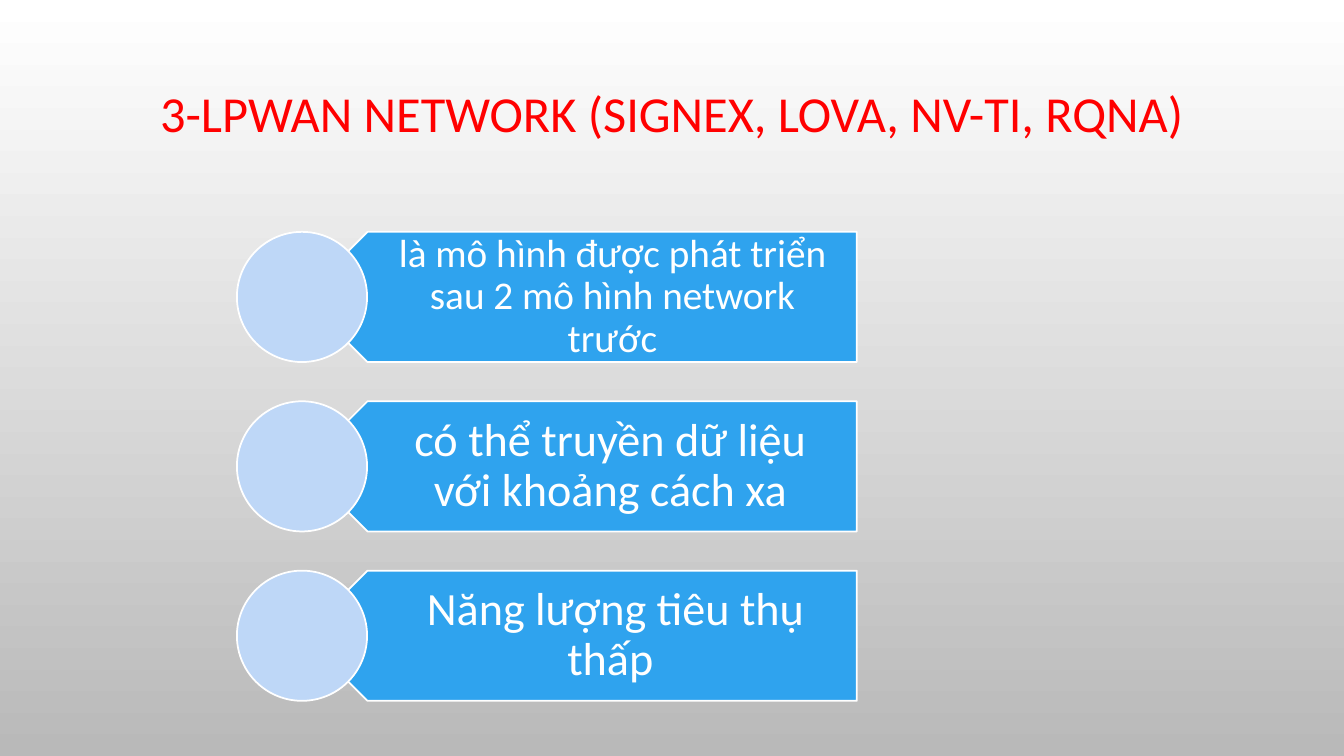
from pptx import Presentation
from pptx.dml.color import RGBColor
from pptx.enum.shapes import MSO_SHAPE
from pptx.enum.text import MSO_ANCHOR, MSO_AUTO_SIZE, PP_ALIGN
from pptx.util import Pt

PLATE = MSO_SHAPE.PENTAGON
OVAL = MSO_SHAPE.OVAL
MIDDLE = MSO_ANCHOR.MIDDLE
CENTER = PP_ALIGN.CENTER
FIXED = MSO_AUTO_SIZE.NONE

COLORS = {
    "top": "FFFFFF",
    "base": "B9B9B9",
    "title": "FF0000",
    "plate": "2FA3EE",
    "disc": "BED7F7",
    "white": "FFFFFF",
}
RGB = {name: RGBColor.from_string(code) for name, code in COLORS.items()}


def write(frame, text, size, color):
    frame.word_wrap = True
    frame.auto_size = FIXED
    frame.vertical_anchor = MIDDLE
    para = frame.paragraphs[0]
    para.alignment = CENTER
    para.line_spacing = 0.9
    run = para.add_run()
    run.text = text
    run.font.name = "Calibri"
    run.font.size = Pt(size)
    run.font.color.rgb = RGB[color]


def draw(shapes, kind, left, top, width, height, color):
    shape = shapes.add_shape(kind, Pt(left), Pt(top), Pt(width), Pt(height))
    shape.shadow.inherit = False
    shape.fill.solid()
    shape.fill.fore_color.rgb = RGB[color]
    shape.line.color.rgb = RGB["white"]
    shape.line.width = Pt(1.25)
    return shape


deck = Presentation()
deck.slide_width, deck.slide_height = Pt(960), Pt(540)
slide = deck.slides.add_slide(deck.slide_layouts[5])

back = slide.background.fill
back.gradient()
back.gradient_angle = 270
for stop, name in zip(back.gradient_stops, ("top", "base")):
    stop.color.rgb = RGB[name]

title = slide.shapes.title
title.left, title.top = Pt(72), Pt(20)
title.width, title.height = Pt(816), Pt(126)
write(title.text_frame, "3-LPWAN NETWORK (SIGNEX, LOVA, NV-TI, RQNA)", 36, "title")

ITEMS = [
    ("là mô hình được phát triển sau 2 mô hình network trước", 28, 16, 9),
    ("có thể truyền dữ liệu với khoảng cách xa", 33, 19, 10),
    (" Năng lượng tiêu thụ thấp", 33, 19, 10),
]
TOP, STEP, SIZE = 165.6, 121, 93

group = slide.shapes.add_group_shape()
for row, (text, size, right, pad) in enumerate(ITEMS):
    top = TOP + row * STEP
    plate = draw(group.shapes, PLATE, 216, top, 396, SIZE, "plate")
    plate.rotation = 180

    label = group.shapes.add_textbox(Pt(239), Pt(top), Pt(372), Pt(SIZE))
    frame = label.text_frame
    frame.margin_left, frame.margin_right = Pt(41), Pt(right)
    frame.margin_top = frame.margin_bottom = Pt(pad)
    write(frame, text, size, "white")

    draw(group.shapes, OVAL, 169.2, top, SIZE, SIZE, "disc")

deck.save("out.pptx")
